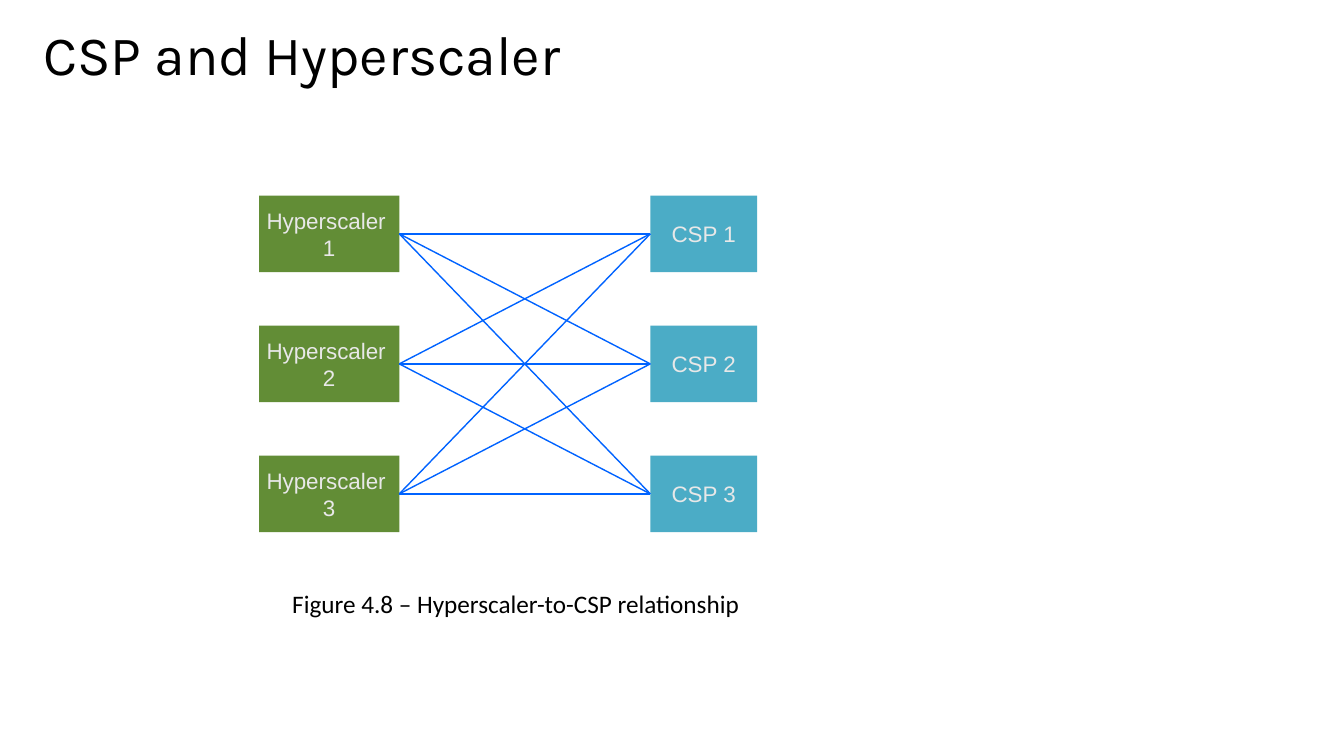
from dataclasses import dataclass
from itertools import product

from pptx import Presentation
from pptx.dml.color import RGBColor
from pptx.enum.shapes import MSO_CONNECTOR as Connector, MSO_SHAPE as Shape
from pptx.enum.text import MSO_ANCHOR as Anchor, MSO_AUTO_SIZE as AutoSize, PP_ALIGN as Align
from pptx.oxml.ns import qn
from pptx.util import Inches, Pt

# Content
TITLE = "CSP and Hyperscaler"
HYPERSCALERS = [("Hyperscaler ", "1"), ("Hyperscaler ", "2"), ("Hyperscaler ", "3")]
CSPS = [("CSP 1",), ("CSP 2",), ("CSP 3",)]
CAPTION = "Figure 4.8 – Hyperscaler-to-CSP relationship"


@dataclass(frozen=True)
class Theme:
    ink: str = "000000"
    label: str = "E8E8E8"
    hyperscaler: str = "628D36"
    csp: str = "4BACC6"
    link: str = "0063FF"
    title_font: str = "Karla"
    label_font: str = "Arial"
    caption_font: str = "Calibri"
    title_size: float = 39.6
    label_size: float = 16
    caption_size: float = 18
    link_width: float = 1


THEME = Theme()

# Layout, in inches
FIRST_ROW, ROW_STEP, BOX_HEIGHT = 1.94, 1.29, 0.76
HYPERSCALER_LEFT, HYPERSCALER_WIDTH = 2.57, 1.39
CSP_LEFT, CSP_WIDTH = 6.45, 1.06
RIGHT_SIDE, LEFT_SIDE = 3, 1


def add_text(paragraph, text, font, size, color):
    run = paragraph.add_run()
    run.text = text
    run.font.name = font
    run.font.size = Pt(size)
    run.font.color.rgb = RGBColor.from_string(color)


def add_column(slide, labels, left, width, color):
    boxes = []
    for row, lines in enumerate(labels):
        box = slide.shapes.add_shape(
            Shape.RECTANGLE, Inches(left), Inches(FIRST_ROW + row * ROW_STEP),
            Inches(width), Inches(BOX_HEIGHT))
        box.shadow.inherit = False
        box.fill.solid()
        box.fill.fore_color.rgb = RGBColor.from_string(color)
        box.line.fill.background()
        frame = box.text_frame
        frame.word_wrap = True
        frame.vertical_anchor = Anchor.MIDDLE
        frame.margin_left = frame.margin_right = frame.margin_top = frame.margin_bottom = 0
        for index, line in enumerate(lines):
            paragraph = frame.add_paragraph() if index else frame.paragraphs[0]
            paragraph.alignment = Align.CENTER
            add_text(paragraph, line, THEME.label_font, THEME.label_size, THEME.label)
        boxes.append(box)
    return boxes


def add_link(slide, hyperscaler, csp):
    link = slide.shapes.add_connector(Connector.STRAIGHT, 0, 0, 0, 0)
    link.begin_connect(hyperscaler, RIGHT_SIDE)
    link.end_connect(csp, LEFT_SIDE)
    link.line.color.rgb = RGBColor.from_string(THEME.link)
    link.line.width = Pt(THEME.link_width)
    properties = link._element.spPr
    properties.append(properties.makeelement(qn("a:effectLst"), {}))


def main():
    deck = Presentation()
    deck.slide_width, deck.slide_height = Inches(13.33), Inches(7.5)
    slide = deck.slides.add_slide(deck.slide_layouts[5])

    # Title
    title = slide.shapes.title
    title.left, title.top = Inches(0.33), Inches(0.29)
    title.width, title.height = Inches(6), Inches(0.56)
    title.text_frame.vertical_anchor = Anchor.MIDDLE
    title.text_frame.auto_size = AutoSize.NONE
    heading = title.text_frame.paragraphs[0]
    heading.alignment = Align.LEFT
    heading.line_spacing = 0.9
    add_text(heading, TITLE, THEME.title_font, THEME.title_size, THEME.ink)

    # Two columns, every hyperscaler linked to every CSP
    hyperscalers = add_column(
        slide, HYPERSCALERS, HYPERSCALER_LEFT, HYPERSCALER_WIDTH, THEME.hyperscaler)
    csps = add_column(slide, CSPS, CSP_LEFT, CSP_WIDTH, THEME.csp)
    for hyperscaler, csp in product(hyperscalers, csps):
        add_link(slide, hyperscaler, csp)

    # Caption
    caption = slide.shapes.add_textbox(Inches(2.8), Inches(5.79), Inches(4.71), Inches(0.4))
    caption.text_frame.word_wrap = True
    caption.text_frame.auto_size = AutoSize.SHAPE_TO_FIT_TEXT
    add_text(caption.text_frame.paragraphs[0], CAPTION,
             THEME.caption_font, THEME.caption_size, THEME.ink)

    deck.save("out.pptx")


if __name__ == "__main__":
    main()
